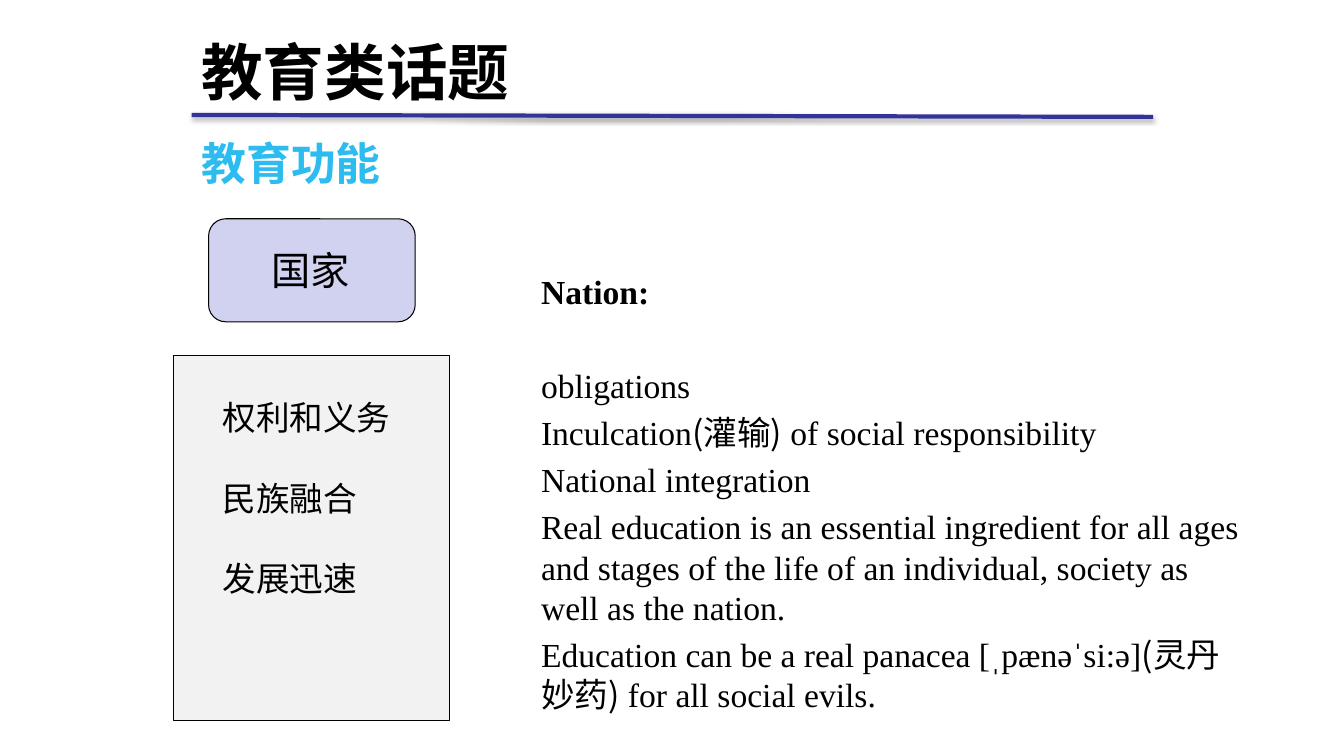
from dataclasses import dataclass

import lxml.etree
import pptx
import pptx.dml.color
import pptx.enum.shapes
import pptx.enum.text
import pptx.oxml
import pptx.oxml.ns
import pptx.util

Pt = pptx.util.Pt
RGBColor = pptx.dml.color.RGBColor
Shape = pptx.enum.shapes.MSO_SHAPE
Align = pptx.enum.text.PP_ALIGN
qn = pptx.oxml.ns.qn

BLACK = RGBColor(0x00, 0x00, 0x00)
NAVY = RGBColor(0x33, 0x33, 0x99)
SKY = RGBColor(0x2D, 0xBC, 0xEF)
LAVENDER = RGBColor(0xD1, 0xD1, 0xF0)
PALE_GREY = RGBColor(0xF2, 0xF2, 0xF2)

SANS, CJK, SERIF = "Arial", "Noto Sans CJK SC", "Times New Roman"
LEADING = 1.2  # line pitch as a multiple of the text size


@dataclass
class Box:
    left: float
    top: float
    width: float
    height: float


@dataclass
class Panel:
    box: Box
    kind: Shape
    fill: RGBColor


@dataclass
class Line:
    runs: list[str]
    before: float = 0
    bold: bool = False


@dataclass
class Text:
    box: Box
    lines: list[Line]
    size: float
    font: str
    color: RGBColor = BLACK
    align: Align = Align.LEFT


PANELS = [
    Panel(Box(149, 156.3, 147.6, 73.6), Shape.ROUNDED_RECTANGLE, LAVENDER),
    Panel(Box(123.8, 254.2, 197.3, 260.6), Shape.RECTANGLE, PALE_GREY),
]

TEXTS = [
    Text(Box(136.8, 20.9, 573.8, 60.5), [Line(["教育类话题"], bold=True)], 44, SANS),
    Text(Box(136.8, 93.6, 193.7, 35.3), [Line(["教育功能"], bold=True)], 32, SANS, SKY),
    Text(Box(164.9, 172.1, 114.5, 41), [Line(["国家"])], 28, CJK, align=Align.CENTER),
    Text(
        Box(151.9, 280.1, 149.8, 152.6),
        [Line(["权利和义务"]), Line(["民族融合"], 28.8), Line(["发展迅速"], 28.8)],
        24,
        CJK,
    ),
    Text(
        Box(379.4, 190.1, 521.3, 324.7),
        [
            Line(["Nation:"], bold=True),
            Line(["obligations"], 38.4),
            Line(["Inculcation", "(灌输)", " of social responsibility"], 4.8),
            Line(["National integration"], 4.8),
            Line(["Real education is an essential ingredient for all ages and stages "
                  "of the life of an individual, society as well as the nation."], 4.8),
            Line(["Education can be a real panacea [ˌpænəˈsi:ə]", "(灵丹妙药)",
                  " for all social evils."], 4.8),
        ],
        24,
        SERIF,
    ),
]


def add_rule(s: pptx.slide.Slide) -> None:
    sp = s.shapes.add_connector(
        pptx.enum.shapes.MSO_CONNECTOR.STRAIGHT, Pt(136.8), Pt(82.1), Pt(823.7), Pt(83.5)
    )
    sp.line.color.rgb = NAVY
    sp.line.width = Pt(3)
    # Soft shadow straight below the line
    effects = lxml.etree.SubElement(sp._element.spPr, qn("a:effectLst"))
    shadow = lxml.etree.SubElement(
        effects, qn("a:outerShdw"), blurRad=str(Pt(3.1)), dist=str(Pt(1.8)),
        dir="5400000", rotWithShape="0",
    )
    color = lxml.etree.SubElement(shadow, qn("a:srgbClr"), val=str(BLACK))
    lxml.etree.SubElement(color, qn("a:alpha"), val="35000")


def add_panel(s: pptx.slide.Slide, panel: Panel) -> None:
    b = panel.box
    sp = s.shapes.add_shape(panel.kind, Pt(b.left), Pt(b.top), Pt(b.width), Pt(b.height))
    sp.shadow.inherit = False
    sp.fill.solid()
    sp.fill.fore_color.rgb = panel.fill
    sp.line.color.rgb = BLACK
    sp.line.width = Pt(0.75)


def add_text(s: pptx.slide.Slide, text: Text) -> None:
    b = text.box
    sp = s.shapes.add_textbox(Pt(b.left), Pt(b.top), Pt(b.width), Pt(b.height))
    tf = sp.text_frame
    tf.word_wrap = True
    tf.text = "\n".join("" for _ in text.lines)
    for p, line in zip(tf.paragraphs, text.lines):
        p.alignment = text.align
        p.line_spacing = Pt(text.size * LEADING)
        p.space_before = Pt(line.before)
        for i, words in enumerate(line.runs):
            r = p.add_run()
            r.text = words
            r.font.size = Pt(text.size)
            r.font.bold = line.bold
            r.font.color.rgb = text.color
            # Every second run is a Chinese gloss
            r.font.name = CJK if i % 2 else text.font
            lxml.etree.SubElement(r.font._element, qn("a:ea"), typeface=CJK)


def main() -> None:
    prs = pptx.Presentation()
    prs.slide_width, prs.slide_height = Pt(960), Pt(540)
    s = prs.slides.add_slide(prs.slide_layouts[6])
    add_rule(s)
    for panel in PANELS:
        add_panel(s, panel)
    for text in TEXTS:
        add_text(s, text)
    prs.save("out.pptx")


if __name__ == "__main__":
    main()
